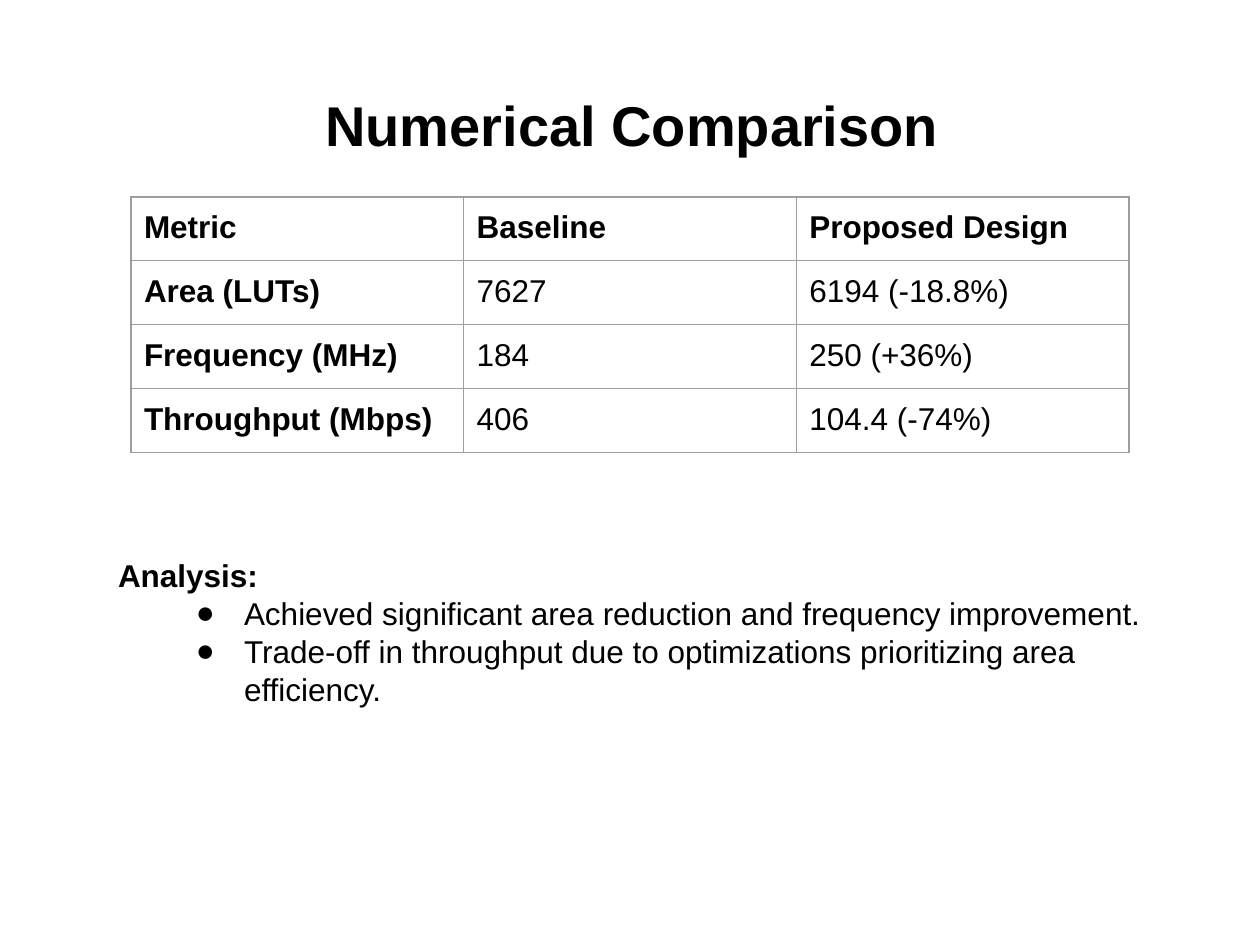
from dataclasses import dataclass

from lxml.etree import SubElement
from pptx import Presentation
from pptx.dml.color import RGBColor
from pptx.enum.text import MSO_ANCHOR, PP_ALIGN
from pptx.oxml.ns import qn
from pptx.util import Emu, Pt

PX_PER_INCH = 126


@dataclass(frozen=True)
class Theme:
    font: str = "Arial"
    ink: str = "000000"
    rule: str = "9E9E9E"
    paper: str = "FFFFFF"
    title_size: int = 32
    body_size: int = 18
    body_leading: float = 21.7
    rule_width: float = 0.75


@dataclass(frozen=True)
class Box:
    left: int
    top: int
    width: int
    height: int


@dataclass(frozen=True)
class Metric:
    name: str
    baseline: str
    proposed: str


THEME = Theme()
TITLE_BOX = Box(73, 50, 1134, 148)
ANALYSIS_BOX = Box(105, 491, 1050, 403)
TABLE_BOX = Box(131, 197, 998, 212)
SIDE_INSET = 13
TITLE_INSET = 6
ANALYSIS_TOP_INSET = 65
BULLET_INDENT = 126
BULLET_HANG = 48

HEADINGS = Metric("Metric", "Baseline", "Proposed Design")
METRICS = [
    Metric("Area (LUTs)", "7627", "6194 (-18.8%)"),
    Metric("Frequency (MHz)", "184", "250 (+36%)"),
    Metric("Throughput (Mbps)", "406", "104.4 (-74%)"),
]
FINDINGS = [
    "Achieved significant area reduction and frequency improvement.",
    "Trade-off in throughput due to optimizations prioritizing area efficiency.",
]


def px(length: int) -> Emu:
    return Emu(round(length * 914400 / PX_PER_INCH))


def write(paragraph, text: str, *, size: int = THEME.body_size, bold: bool = False,
          align=PP_ALIGN.LEFT, leading: float | None = None, bullet: str = "") -> None:
    paragraph.alignment = align
    if leading:
        paragraph.line_spacing = Pt(leading)
    if bullet:
        add_bullet(paragraph, bullet)
    run = paragraph.add_run()
    run.text = text
    run.font.name = THEME.font
    run.font.size = Pt(size)
    run.font.bold = bold
    run.font.color.rgb = RGBColor.from_string(THEME.ink)


def add_bullet(paragraph, mark: str) -> None:
    properties = paragraph._p.get_or_add_pPr()
    properties.set("marL", str(px(BULLET_INDENT)))
    properties.set("indent", str(-px(BULLET_HANG)))
    color = SubElement(properties, qn("a:buClr"))
    SubElement(color, qn("a:srgbClr"), val=THEME.ink)
    SubElement(properties, qn("a:buFont"), typeface=THEME.font)
    SubElement(properties, qn("a:buChar"), char=mark)


def add_text_frame(slide, box: Box, top_inset: int, anchor):
    frame = slide.shapes.add_textbox(
        px(box.left), px(box.top), px(box.width), px(box.height)).text_frame
    frame.word_wrap = True
    frame.vertical_anchor = anchor
    frame.margin_left = frame.margin_right = px(SIDE_INSET)
    frame.margin_top = px(top_inset)
    frame.margin_bottom = px(TITLE_INSET)
    return frame


def add_borders(cell) -> None:
    """Rule all four sides; borders must come before the fill in the cell."""
    properties = cell._tc.get_or_add_tcPr()
    for position, side in enumerate(("a:lnL", "a:lnR", "a:lnT", "a:lnB")):
        line = SubElement(properties, qn(side), w=str(Pt(THEME.rule_width)))
        fill = SubElement(line, qn("a:solidFill"))
        SubElement(fill, qn("a:srgbClr"), val=THEME.rule)
        properties.insert(position, line)


def add_metrics_table(slide, box: Box, rows: list[Metric]) -> None:
    table = slide.shapes.add_table(
        len(rows), 3, px(box.left), px(box.top), px(box.width), px(box.height)).table
    table.horz_banding = False
    for row, metric in enumerate(rows):
        values = (metric.name, metric.baseline, metric.proposed)
        for column, value in enumerate(values):
            cell = table.cell(row, column)
            cell.margin_left = cell.margin_right = px(SIDE_INSET)
            cell.margin_top = cell.margin_bottom = px(SIDE_INSET)
            cell.fill.solid()
            cell.fill.fore_color.rgb = RGBColor.from_string(THEME.paper)
            add_borders(cell)
            write(cell.text_frame.paragraphs[0], value, bold=row == 0 or column == 0)


def main() -> None:
    deck = Presentation()
    deck.slide_width, deck.slide_height = px(1260), px(945)
    slide = deck.slides.add_slide(deck.slide_layouts[6])

    title = add_text_frame(slide, TITLE_BOX, TITLE_INSET, MSO_ANCHOR.MIDDLE)
    write(title.paragraphs[0], "Numerical Comparison ", size=THEME.title_size,
          bold=True, align=PP_ALIGN.CENTER)

    analysis = add_text_frame(slide, ANALYSIS_BOX, ANALYSIS_TOP_INSET, MSO_ANCHOR.TOP)
    write(analysis.paragraphs[0], "Analysis:", bold=True, leading=THEME.body_leading)
    for finding in FINDINGS:
        write(analysis.add_paragraph(), finding, leading=THEME.body_leading, bullet="●")

    add_metrics_table(slide, TABLE_BOX, [HEADINGS, *METRICS])
    deck.save("out.pptx")


if __name__ == "__main__":
    main()
